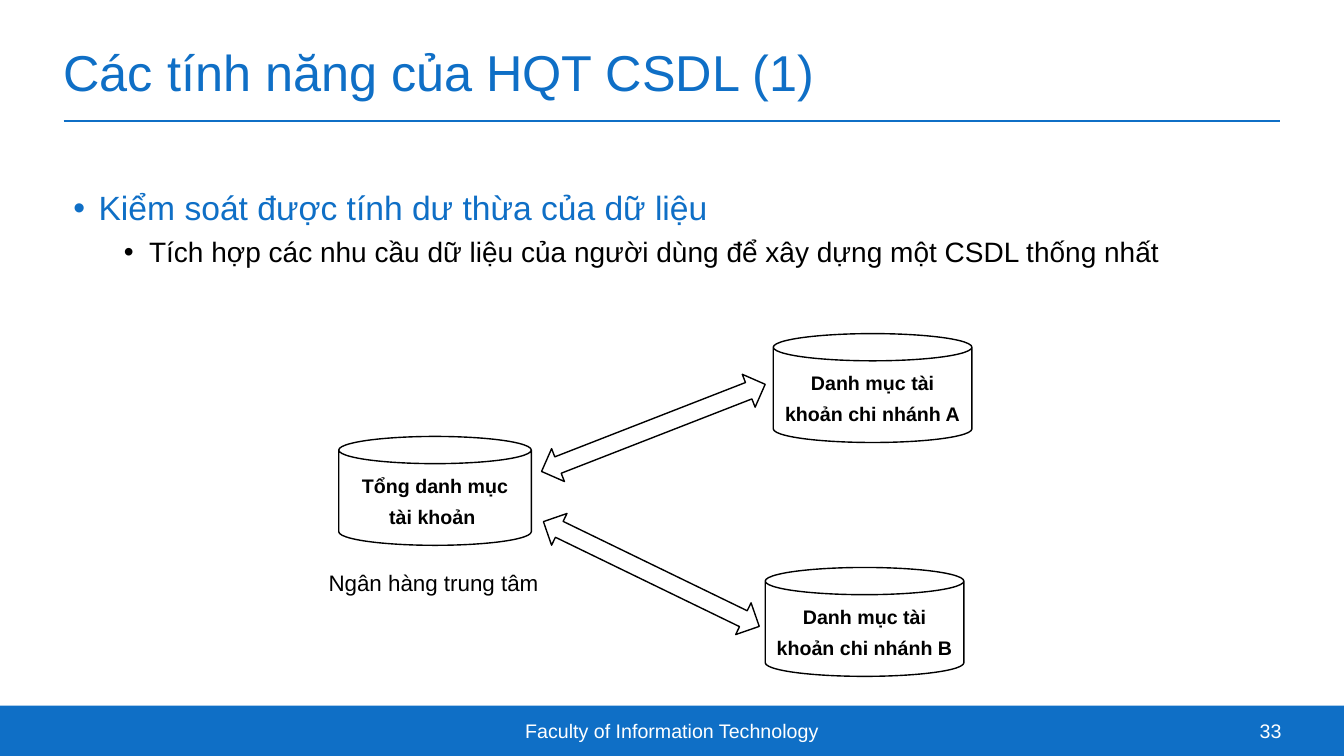
from lxml import etree
from pptx import Presentation
from pptx.dml.color import RGBColor
from pptx.enum.shapes import MSO_CONNECTOR, MSO_SHAPE
from pptx.enum.text import MSO_ANCHOR, MSO_AUTO_SIZE, PP_ALIGN
from pptx.oxml.ns import qn
from pptx.util import Inches, Pt

LEFT, CENTER, RIGHT = PP_ALIGN.LEFT, PP_ALIGN.CENTER, PP_ALIGN.RIGHT
TOP, MIDDLE = MSO_ANCHOR.TOP, MSO_ANCHOR.MIDDLE
COLORS = {"blue": "0F6FC6", "black": "000000", "white": "FFFFFF"}
WIDTH, HEIGHT = 13.33, 7.5
MARGIN, CONTENT_WIDTH = 0.63, 12.07
BAR_TOP, BAR_HEIGHT = 7, 0.5


def write(box, text, size, color="black", align=LEFT, anchor=MIDDLE,
          inset=None, wrap=True, bold=False, spacing=1.0):
    frame = box.text_frame
    frame_format = {"auto_size": MSO_AUTO_SIZE.NONE, "word_wrap": wrap,
                    "vertical_anchor": anchor}
    if inset is not None:
        for side in ("left", "top", "right", "bottom"):
            frame_format["margin_" + side] = Inches(inset)
    for name, value in frame_format.items():
        setattr(frame, name, value)
    for index, line in enumerate(text.split("\n")):
        para = frame.add_paragraph() if index else frame.paragraphs[0]
        para.alignment, para.line_spacing = align, spacing
        span = para.add_run()
        span.text = line
        for name, value in {"name": "Arial", "size": Pt(size), "bold": bold}.items():
            setattr(span.font, name, value)
        span.font.color.rgb = RGBColor.from_string(COLORS[color])


def draw(kind, place, fill=None, line=None):
    shape = page.shapes.add_shape(kind, *map(Inches, place))
    shape.shadow.inherit = False
    for part, color in ((shape.fill, fill), (shape.line.fill, line)):
        if color:
            part.solid()
            part.fore_color.rgb = RGBColor.from_string(COLORS[color])
        else:
            part.background()
    if line:
        shape.line.width = Pt(1)
    return shape


deck = Presentation()
deck.slide_width, deck.slide_height = Inches(WIDTH), Inches(HEIGHT)
page = deck.slides.add_slide(deck.slide_layouts[5])

title = page.shapes.title
title_place = {"left": MARGIN, "top": 0.23, "width": CONTENT_WIDTH, "height": 0.96}
for name, value in title_place.items():
    setattr(title, name, Inches(value))
write(title, "Các tính năng của HQT CSDL (1)", 36, "blue", inset=0)

draw(MSO_SHAPE.RECTANGLE, (0, BAR_TOP, WIDTH, BAR_HEIGHT), fill="blue")
rule = page.shapes.add_connector(
    MSO_CONNECTOR.STRAIGHT, Inches(MARGIN), Inches(1.2),
    Inches(MARGIN + CONTENT_WIDTH), Inches(1.2))
rule.line.color.rgb = RGBColor.from_string(COLORS["blue"])
rule.line.width = Pt(1)
etree.SubElement(rule._element.spPr, qn("a:effectLst"))

body = page.shapes.add_textbox(*map(Inches, (MARGIN, 1.81, CONTENT_WIDTH, 1.06)))
write(body, "Kiểm soát được tính dư thừa của dữ liệu\n"
            "Tích hợp các nhu cầu dữ liệu của người dùng để xây dựng một CSDL thống nhất",
      20, anchor=TOP)
topic, detail = body.text_frame.paragraphs
topic.runs[0].font.size = Pt(24)
topic.runs[0].font.color.rgb = RGBColor.from_string(COLORS["blue"])
for level, (para, indent, before) in enumerate(((topic, 0.25, 10), (detail, 0.75, 5))):
    para.level, para.space_before = level, Pt(before)
    properties = para._p.get_or_add_pPr()
    properties.set("marL", str(Inches(indent)))
    properties.set("indent", str(Inches(-0.25)))
    etree.SubElement(properties, qn("a:buFont"), typeface="Arial")
    etree.SubElement(properties, qn("a:buChar"), char="•")

for left, width, text, align in (
        (4.44, 4.45, "Faculty of Information Technology", CENTER),
        (12, 0.71, "33", RIGHT)):
    footer = page.shapes.add_textbox(*map(Inches, (left, BAR_TOP, width, BAR_HEIGHT)))
    write(footer, text, 14, "white", align, inset=0)

for left, top, width, text in (
        (3.36, 4.33, 1.91, "Tổng danh mục tài khoản "),
        (7.67, 3.31, 1.97, "Danh mục tài khoản chi nhánh A"),
        (7.59, 5.63, 1.97, "Danh mục tài khoản chi nhánh B")):
    database = draw(MSO_SHAPE.CAN, (left, top, width, 1.08), line="black")
    write(database, text, 14, align=CENTER, bold=True, spacing=1.3)

for left, top, angle in ((5.29, 4.07, 338.7), (5.27, 5.52, 25.9)):
    arrow = draw(MSO_SHAPE.LEFT_RIGHT_ARROW, (left, top, 2.38, 0.35), line="black")
    arrow.rotation = angle

caption = page.shapes.add_textbox(*map(Inches, (3.16, 5.6, 2.31, 0.37)))
write(caption, "Ngân hàng trung tâm", 16, anchor=TOP, wrap=False)

deck.save("out.pptx")
